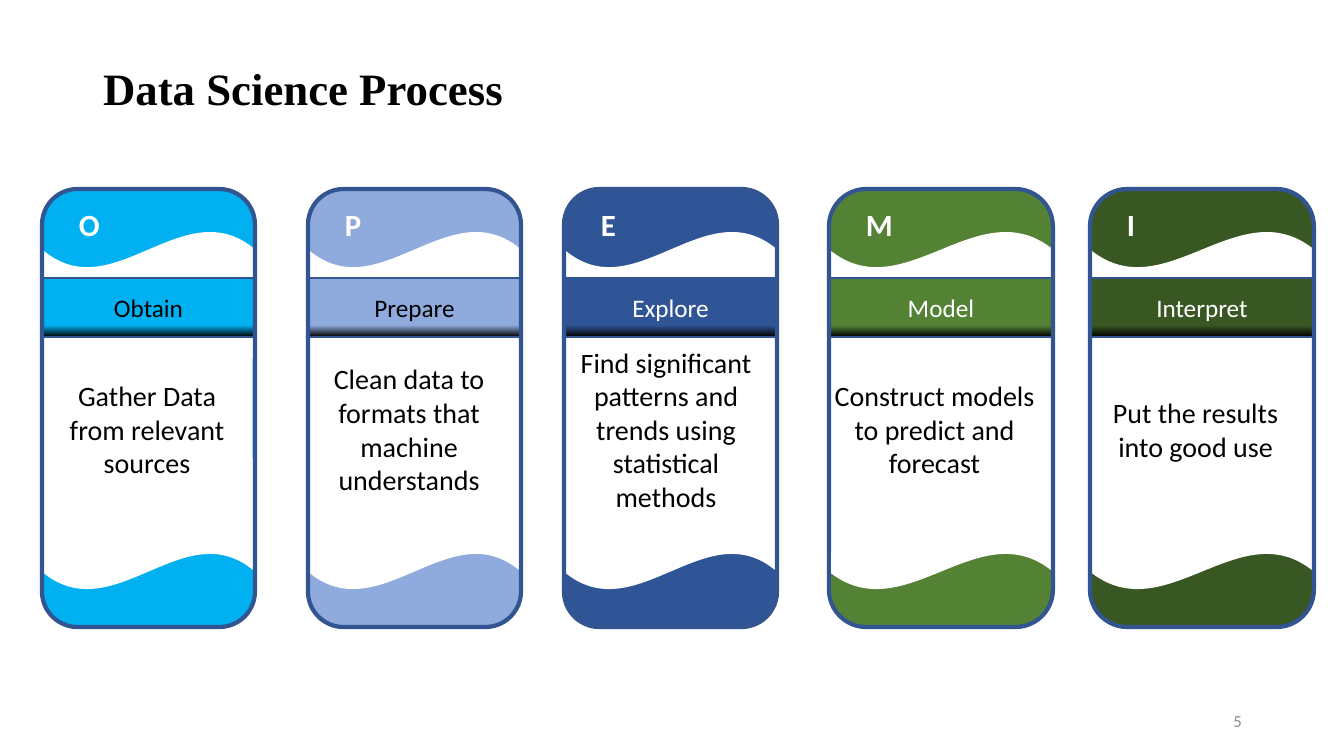
from copy import deepcopy
from dataclasses import dataclass

from pptx import Presentation
from pptx.dml.color import RGBColor
from pptx.enum.shapes import MSO_SHAPE
from pptx.enum.text import MSO_ANCHOR, MSO_AUTO_SIZE, PP_ALIGN
from pptx.oxml.ns import qn
from pptx.util import Pt

EMU_PER_PX = 914400 / 100.8
TITLE_ONLY = 5
ROUNDED, WAVE, RECTANGLE = MSO_SHAPE.ROUNDED_RECTANGLE, MSO_SHAPE.WAVE, MSO_SHAPE.RECTANGLE
LEFT, CENTER, RIGHT = PP_ALIGN.LEFT, PP_ALIGN.CENTER, PP_ALIGN.RIGHT
TOP, MIDDLE = MSO_ANCHOR.TOP, MSO_ANCHOR.MIDDLE
NO_FIT, GROW = MSO_AUTO_SIZE.NONE, MSO_AUTO_SIZE.SHAPE_TO_FIT_TEXT


@dataclass(frozen=True)
class Theme:
    """Colours, fonts and type sizes of the slide."""
    white: str = "FFFFFF"
    black: str = "000000"
    gray: str = "8C8C8C"
    sky: str = "00B0F0"
    periwinkle: str = "8FAADC"
    navy: str = "2F5597"
    green: str = "548235"
    forest: str = "385723"
    frame: str = "325491"
    heading_font: str = "Times New Roman"
    body_font: str = "Calibri"
    title_size: int = 32
    letter_size: int = 22
    body_size: int = 20
    stage_size: int = 18
    number_size: int = 12


THEME = Theme()
CARD_TOP, CARD_HEIGHT = 189, 438
WAVE_TOPS, WAVE_HEIGHT = (232, 443), 146

STAGES = [
    ("Obtain", "Gather Data from relevant sources", THEME.sky, THEME.black, 42, 213, 42, 210),
    ("Prepare", "Clean data to formats that machine understands",
     THEME.periwinkle, THEME.black, 308, 213, 297, 224),
    ("Explore", "Find significant patterns and trends using statistical methods",
     THEME.navy, THEME.white, 564, 213, 554, 224),
    ("Model", "Construct models to predict and forecast",
     THEME.green, THEME.white, 829, 224, 817, 235),
    ("Interpret", "Put the results into good use",
     THEME.forest, THEME.white, 1090, 224, 1078, 235),
]


def px(length):
    """Turn pixels into EMU."""
    return round(length * EMU_PER_PX)


def box(*lengths):
    """Turn left, top, width and height into EMU."""
    return [px(length) for length in lengths]


def rgb(color):
    """Return the colour of a hex string."""
    return RGBColor.from_string(color)


def apply(target, values):
    """Set each attribute named in a dict."""
    for name, value in values.items():
        setattr(target, name, value)


def write(shape, text, size, color, align=CENTER, anchor=MIDDLE, bold=False,
          font=THEME.body_font, fit=NO_FIT):
    """Put one formatted paragraph into a shape."""
    frame = shape.text_frame
    frame.text = text
    apply(frame, {"word_wrap": True, "vertical_anchor": anchor, "auto_size": fit})
    paragraph = frame.paragraphs[0]
    paragraph.alignment = align
    apply(paragraph.runs[0].font, {"name": font, "size": Pt(size), "bold": bold})
    paragraph.runs[0].font.color.rgb = rgb(color)


def add_panel(card, preset, area, fill, line, weight=1):
    """Add a preset shape with an optional solid fill."""
    panel = card.shapes.add_shape(preset, *box(*area))
    panel.shadow.inherit = False
    if fill:
        panel.fill.solid()
        panel.fill.fore_color.rgb = rgb(fill)
    else:
        panel.fill.background()
    panel.line.color.rgb = rgb(line)
    panel.line.width = Pt(weight)
    return panel


def add_wave(card, area):
    """Add a white wave that is mirrored left to right."""
    wave = add_panel(card, WAVE, area, THEME.white, THEME.white)
    wave.rotation = 180
    wave._element.spPr.find(qn("a:xfrm")).set("flipV", "1")
    return wave


def shade(band, color):
    """Fade the lowest fifth of a band to black."""
    band.fill.gradient()
    band.fill.gradient_angle = 270
    start, end = band.fill.gradient_stops
    apply(start, {"position": 0})
    start.color.rgb = rgb(color)
    end.color.rgb = rgb(THEME.black)
    stops = band._element.spPr.find(qn("a:gradFill")).find(qn("a:gsLst"))
    fade_start = deepcopy(stops[0])
    fade_start.set("pos", "80000")
    stops.insert(1, fade_start)


def add_label(shapes, area, *text, **style):
    """Add a text box."""
    write(shapes.add_textbox(*box(*area)), *text, **style)


def add_card(slide, stage, detail, color, stage_color, left, width, detail_left, detail_width):
    """Add the card of one process stage."""
    card = slide.shapes.add_group_shape()
    outline = (left, CARD_TOP, width, CARD_HEIGHT)
    add_panel(card, ROUNDED, outline, color, THEME.sky)
    for wave_top in WAVE_TOPS:
        add_wave(card, (left, wave_top, width, WAVE_HEIGHT))
    body = add_wave(card, (detail_left, 321, detail_width, 216))
    write(body, detail, THEME.body_size, THEME.black)
    band = add_panel(card, RECTANGLE, (left, 278, width, 59), color, THEME.frame)
    shade(band, color)
    write(band, stage, THEME.stage_size, stage_color)
    add_panel(card, ROUNDED, outline, None, THEME.frame, 3)
    add_label(card.shapes, (left + 27, 201, 70, 47), stage[0], THEME.letter_size, THEME.white,
              align=LEFT, anchor=TOP, bold=True, fit=GROW)


def add_title(slide, text):
    """Place and format the slide title."""
    title = slide.shapes.title
    places = ("left", "top", "width", "height")
    apply(title, dict(zip(places, box(93, 40, 1159, 101))))
    write(title, text, THEME.title_size, THEME.black, align=LEFT, bold=True,
          font=THEME.heading_font)
    title.text_frame.paragraphs[0].line_spacing = 0.9


def main():
    """Build and save the slide."""
    deck = Presentation()
    apply(deck, {"slide_width": px(1344), "slide_height": px(756)})
    slide = deck.slides.add_slide(deck.slide_layouts[TITLE_ONLY])
    add_title(slide, "Data Science Process")
    for stage in STAGES:
        add_card(slide, *stage)
    add_label(slide.shapes, (950, 701, 302, 40), "5", THEME.number_size, THEME.gray, align=RIGHT)
    deck.save("out.pptx")


if __name__ == "__main__":
    main()
